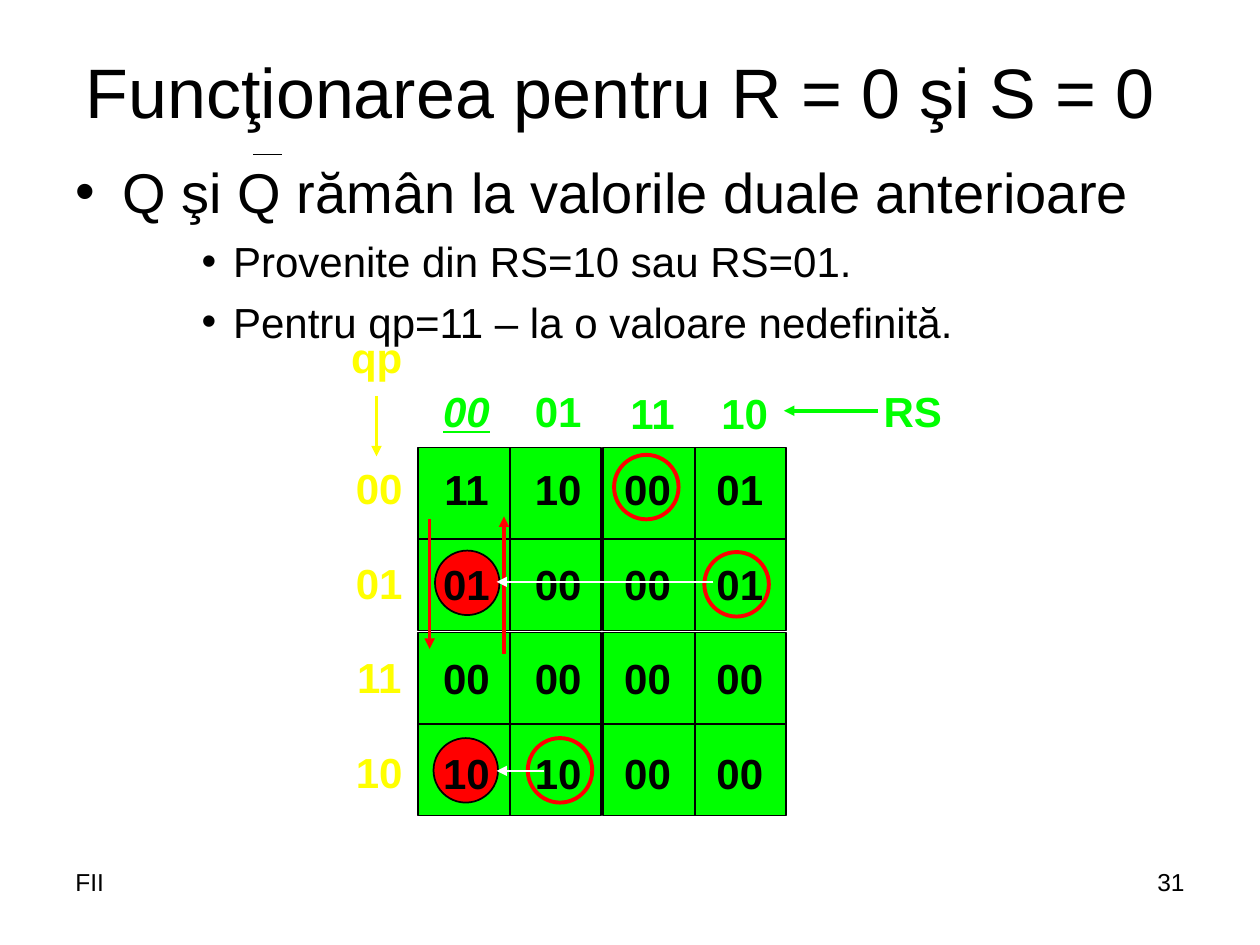
from itertools import product

from lxml import etree
from pptx import Presentation
from pptx.dml.color import RGBColor
from pptx.enum import shapes, text
from pptx.oxml.ns import qn
from pptx.util import Cm, Pt

COLORS = {"black": "000000", "white": "FFFFFF", "red": "FF0000",
          "green": "00FF00", "yellow": "FFFF00"}
ALIGN = text.PP_ALIGN


def rgb(name):
    return RGBColor.from_string(COLORS[name])


def write(p, content, size=24, color="black", bold=False, italic=False,
          underline=False, align=None, before=0):
    """Put formatted text into a paragraph."""
    p.alignment = align
    p.space_before = Pt(before)
    r = p.add_run()
    r.text = content
    f = r.font
    f.name, f.size, f.color.rgb = "Arial", Pt(size), rgb(color)
    f.bold, f.italic, f.underline = bold, italic, underline


class SlideBuilder:
    def __init__(self, prs):
        self.s = prs.slides.add_slide(prs.slide_layouts[1])

    def placeholder(self, index, left, top, width, height):
        sp = self.s.placeholders[index]
        sp.left, sp.top, sp.width, sp.height = map(Cm, (left, top, width, height))
        sp.text_frame.auto_size = text.MSO_AUTO_SIZE.NONE
        return sp.text_frame

    def label(self, content, left, top, width=1.63, height=1.27,
              align=ALIGN.CENTER, bold=True, **fmt):
        sp = self.s.shapes.add_textbox(Cm(left), Cm(top), Cm(width), Cm(height))
        tf = sp.text_frame
        tf.word_wrap = True
        write(tf.paragraphs[0], content, align=align, bold=bold, **fmt)

    def shape(self, kind, left, top, size, fill=None, line="black", weight=1):
        sp = self.s.shapes.add_shape(kind, Cm(left), Cm(top), Cm(size), Cm(size))
        sp.shadow.inherit = False
        if fill:
            sp.fill.solid()
            sp.fill.fore_color.rgb = rgb(fill)
        else:
            sp.fill.background()
        sp.line.color.rgb, sp.line.width = rgb(line), Pt(weight)

    def line(self, x1, y1, x2, y2, color="black", weight=1, arrow=False):
        c = self.s.shapes.add_connector(
            shapes.MSO_CONNECTOR.STRAIGHT, Cm(x1), Cm(y1), Cm(x2), Cm(y2))
        c.line.color.rgb, c.line.width = rgb(color), Pt(weight)
        if arrow:
            etree.SubElement(c.line._get_or_add_ln(), qn("a:tailEnd"), type="triangle")
        etree.SubElement(c._element.spPr, qn("a:effectLst"))


def main():
    prs = Presentation()
    prs.slide_width, prs.slide_height = Cm(25.4), Cm(19.05)
    b = SlideBuilder(prs)

    # Title and list
    tf = b.placeholder(0, 1.27, 0.53, 22.86, 2.59)
    write(tf.paragraphs[0], "Funcţionarea pentru R = 0 şi S = 0 ", size=40,
          align=ALIGN.CENTER)
    tf = b.placeholder(1, 1.27, 3.05, 22.86, 13.97)
    write(tf.paragraphs[0], "Q şi Q rămân la valorile duale anterioare", size=32)
    for item in ("Provenite din RS=10 sau RS=01.",
                 "Pentru qp=11 – la o valoare nedefinită."):
        p = tf.add_paragraph()
        p.level = 2
        write(p, item, before=6)
    b.line(5.11, 3.12, 5.69, 3.12, weight=0.75)  # bar over the second Q

    # Map: four blocks of 2 x 2 cells
    block, half, pitch = 3.69, 1.85, 3.73
    for i, j in product(range(2), repeat=2):
        x, y = 8.43 + i * pitch, 9.02 + j * pitch
        b.shape(shapes.MSO_SHAPE.RECTANGLE, x, y, block, fill="green")
        b.line(x + half, y, x + half, y + block)
        b.line(x, y + half, x + block, y + half)

    # Stable states (filled) and starting states (rings)
    for x, y in ((8.77, 11.1), (8.74, 14.88)):
        b.shape(shapes.MSO_SHAPE.OVAL, x, y, 1.3, fill="red")
    for x, y in ((14.2, 11.13), (10.64, 14.88), (12.38, 9.17)):
        b.shape(shapes.MSO_SHAPE.OVAL, x, y, 1.3, line="red", weight=2.25)

    # Cell values and row labels
    row_step = 1.905
    columns = (8.59, 10.44, 12.24, 14.1)
    rows = (("00", "11 10 00 01"), ("01", "01 00 00 01"),
            ("11", "00 00 00 00"), ("10", "10 10 00 00"))
    for j, (qp, values) in enumerate(rows):
        b.label(qp, 6.83, 9.2 + j * row_step, color="yellow")
        for x, value in zip(columns, values.split()):
            b.label(value, x, 9.22 + j * row_step)

    # Column labels and variable names
    b.label("00", 8.59, 7.65, color="green", italic=True, underline=True)
    for rs, x, y in (("01", 10.44, 7.65), ("11", 12.34, 7.68), ("10", 14.2, 7.68)):
        b.label(rs, x, y, color="green")
    b.label("RS", 16.89, 7.65, width=3.02, color="green")
    b.label("qp", 6.78, 6.55, color="yellow")

    # Arrows
    for x1, y1, x2, y2, color, weight in (
            (7.59, 7.98, 7.59, 9.2, "yellow", 2),
            (17.7, 8.28, 15.8, 8.28, "green", 2),
            (8.66, 10.46, 8.66, 13.08, "red", 2),
            (10.16, 13.18, 10.16, 10.41, "red", 2),
            (14.38, 11.73, 10.01, 11.73, "white", 1),
            (10.97, 15.54, 10.01, 15.54, "white", 1)):
        b.line(x1, y1, x2, y2, color, weight, arrow=True)

    # Footer
    footer = dict(width=5.92, height=1.32, size=14, bold=False)
    b.label("31", 18.21, 17.35, align=ALIGN.RIGHT, **footer)
    b.label("FII", 1.27, 17.35, align=ALIGN.LEFT, **footer)

    prs.save("out.pptx")


if __name__ == "__main__":
    main()
